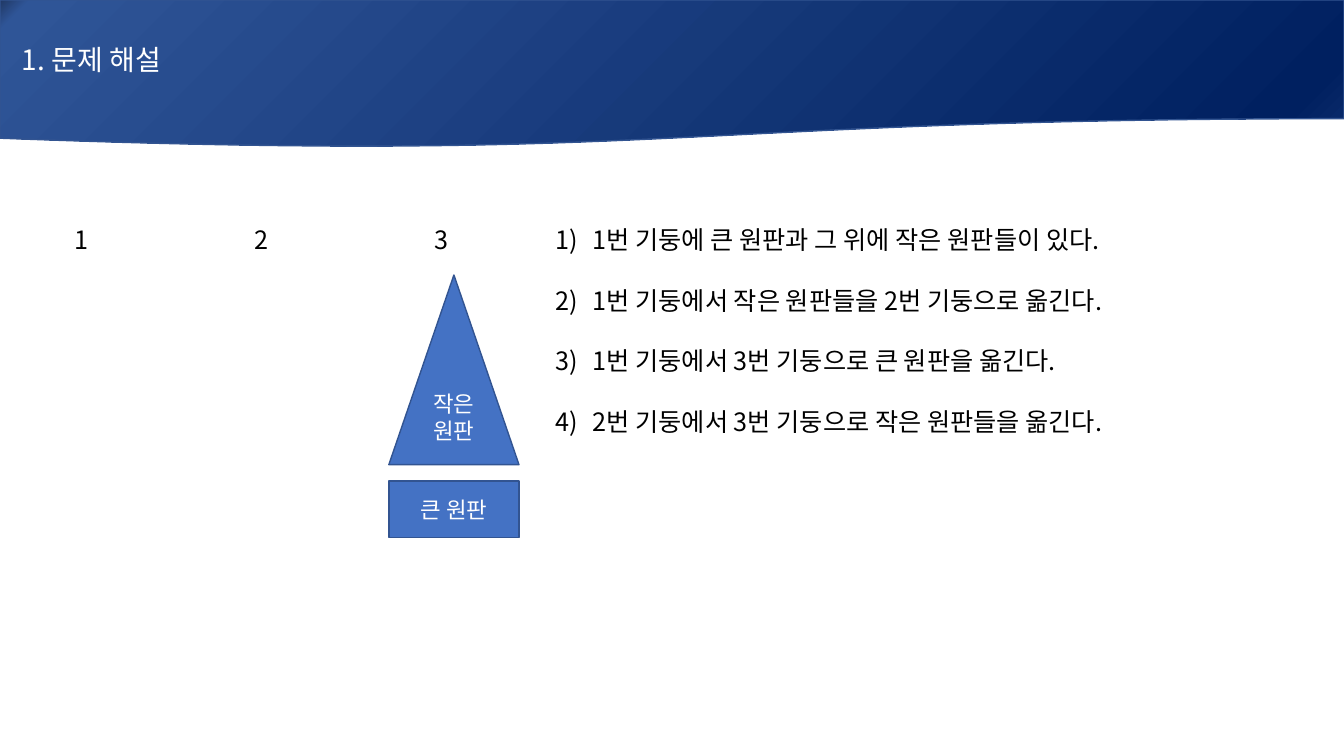
from lxml.etree import SubElement
from pptx import Presentation
from pptx.dml.color import RGBColor
from pptx.enum.shapes import MSO_SHAPE as Shape
from pptx.enum.text import MSO_ANCHOR as Anchor, MSO_AUTO_SIZE as AutoSize, PP_ALIGN as Align
from pptx.oxml.ns import qn
from pptx.util import Cm, Pt

FONT = "Noto Sans CJK KR"
WHITE, BLACK, BLUE, OUTLINE = "FFFFFF", "000000", "4472C4", "325491"
BANNER_STOPS = [(0, "203864"), (2, "2F5597"), (94, "002060"), (100, "0D2E6F")]
STEPS = [
    "1번 기둥에 큰 원판과 그 위에 작은 원판들이 있다.",
    "1번 기둥에서 작은 원판들을 2번 기둥으로 옮긴다.",
    "1번 기둥에서 3번 기둥으로 큰 원판을 옮긴다.",
    "2번 기둥에서 3번 기둥으로 작은 원판들을 옮긴다.",
]


def color(value):
    return RGBColor.from_string(value)


def add_span(para, text, size, ink):
    span = para.add_run()
    span.text = text
    span.font.name = FONT
    span.font.size = Pt(size)
    span.font.color.rgb = color(ink)
    SubElement(span.font._element, qn("a:ea"), typeface=FONT)


def add_outlined(page, kind, left, top, width, height):
    shape = page.shapes.add_shape(kind, Cm(left), Cm(top), Cm(width), Cm(height))
    shape.shadow.inherit = False
    shape.line.color.rgb = color(OUTLINE)
    shape.line.width = Pt(1)
    return shape


def add_text_frame(page, left, top, width, height):
    box = page.shapes.add_textbox(Cm(left), Cm(top), Cm(width), Cm(height))
    box.text_frame.word_wrap = True
    return box.text_frame


def fill_gradient(shape, stops, angle):
    shape.fill.gradient()
    shape.fill.gradient_angle = angle
    stop_list = shape._element.spPr.find(qn("a:gradFill")).find(qn("a:gsLst"))
    for old_stop in list(stop_list):
        stop_list.remove(old_stop)
    for percent, value in stops:
        stop = SubElement(stop_list, qn("a:gs"), pos=str(percent * 1000))
        SubElement(stop, qn("a:srgbClr"), val=value)


def add_banner(page, left, top, width, height):
    """Draw the wavy banner behind the title, which sits in its straight part."""
    banner = add_outlined(page, Shape.FLOWCHART_DOCUMENT, left, top, width, height)
    fill_gradient(banner, BANNER_STOPS, 315)
    title = page.shapes.title
    title._element.addprevious(banner._element)
    title.left, title.top = Cm(left + 0.3), Cm(top)
    title.width, title.height = Cm(width - 0.6), Cm(height * 0.8)
    frame = title.text_frame
    frame.auto_size = AutoSize.NONE
    frame.vertical_anchor = Anchor.MIDDLE
    para = frame.paragraphs[0]
    para.alignment = Align.LEFT
    add_span(para, "1. 문제 해설", 20, WHITE)


def add_peg_numbers(page, left, top, pitch):
    for index in range(3):
        frame = add_text_frame(page, left + index * pitch, top, 1.12, 1.02)
        add_span(frame.paragraphs[0], str(index + 1), 18, BLACK)


def add_tower(page, left, top, width, height):
    """Stack the small discs above the big disc."""
    small, big = 4.78, 1.42
    parts = [
        (Shape.ISOSCELES_TRIANGLE, "작은 원판", top, small),
        (Shape.RECTANGLE, "큰 원판", top + height - big, big),
    ]
    for kind, text, part_top, part_height in parts:
        disc = add_outlined(page, kind, left, part_top, width, part_height)
        disc.fill.solid()
        disc.fill.fore_color.rgb = color(BLUE)
        frame = disc.text_frame
        frame.word_wrap = True
        frame.vertical_anchor = Anchor.MIDDLE
        para = frame.paragraphs[0]
        para.alignment = Align.CENTER
        add_span(para, text, 16, WHITE)


def add_steps(page, left, top, width, height):
    frame = add_text_frame(page, left, top, width, height)
    for index, step in enumerate(STEPS):
        para = frame.add_paragraph() if index else frame.paragraphs[0]
        if index:
            para.space_before = Pt(21.6)
        add_span(para, step, 18, BLACK)
        properties = para._p.get_or_add_pPr()
        indent = Cm(0.95)
        properties.set("marL", str(indent))
        properties.set("indent", str(-indent))
        SubElement(properties, qn("a:buFont"), typeface=FONT)
        SubElement(properties, qn("a:buAutoNum"), type="arabicParenR")


def main():
    deck = Presentation()
    deck.slide_width, deck.slide_height = Cm(33.87), Cm(19.05)
    page = deck.slides.add_slide(deck.slide_layouts[5])
    add_banner(page, 0, 0, 33.87, 3.73)
    add_steps(page, 13.74, 5.54, 18.49, 7.19)
    add_peg_numbers(page, 1.63, 5.52, 4.53)
    add_tower(page, 9.8, 6.93, 3.28, 6.61)
    deck.save("out.pptx")


if __name__ == "__main__":
    main()
